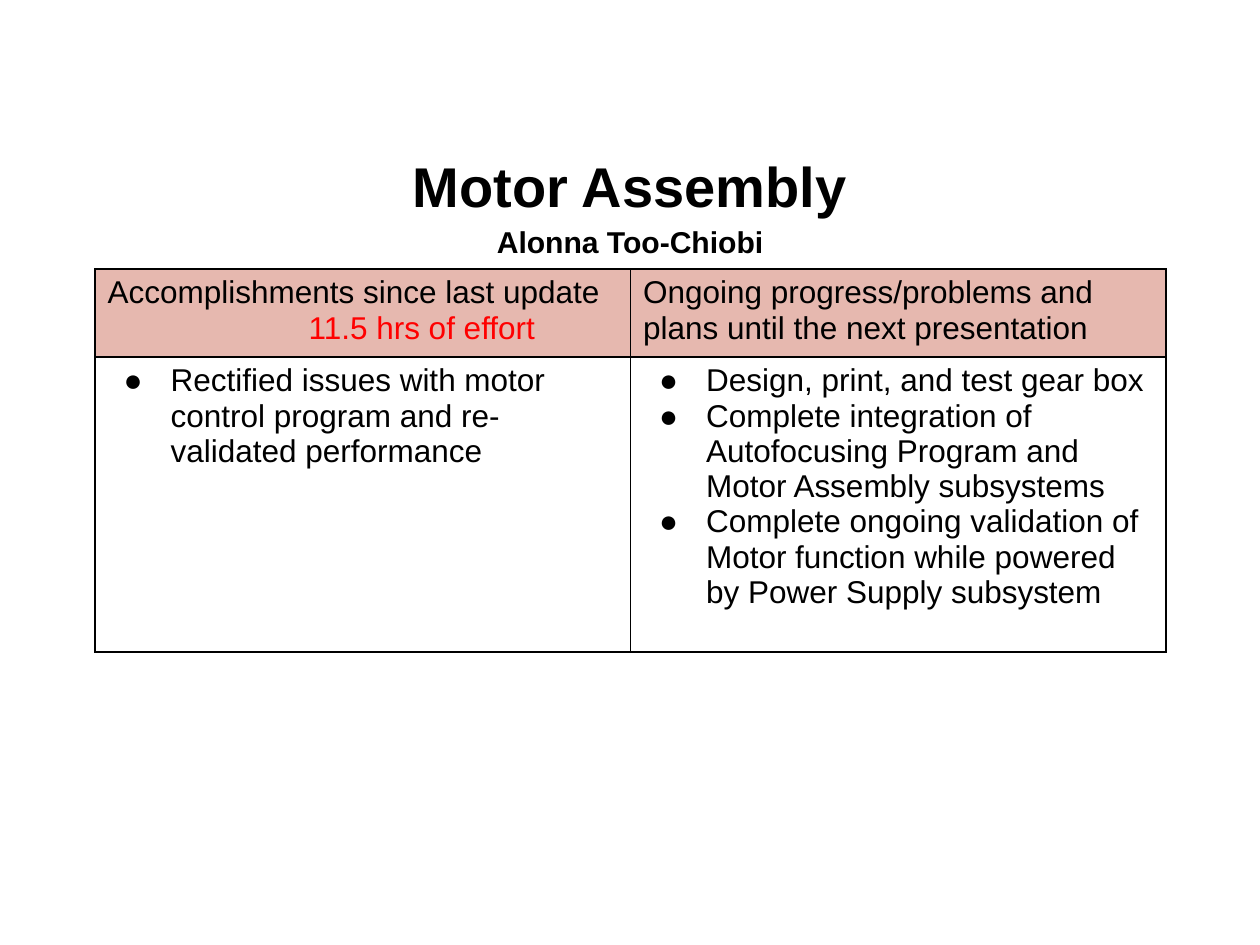
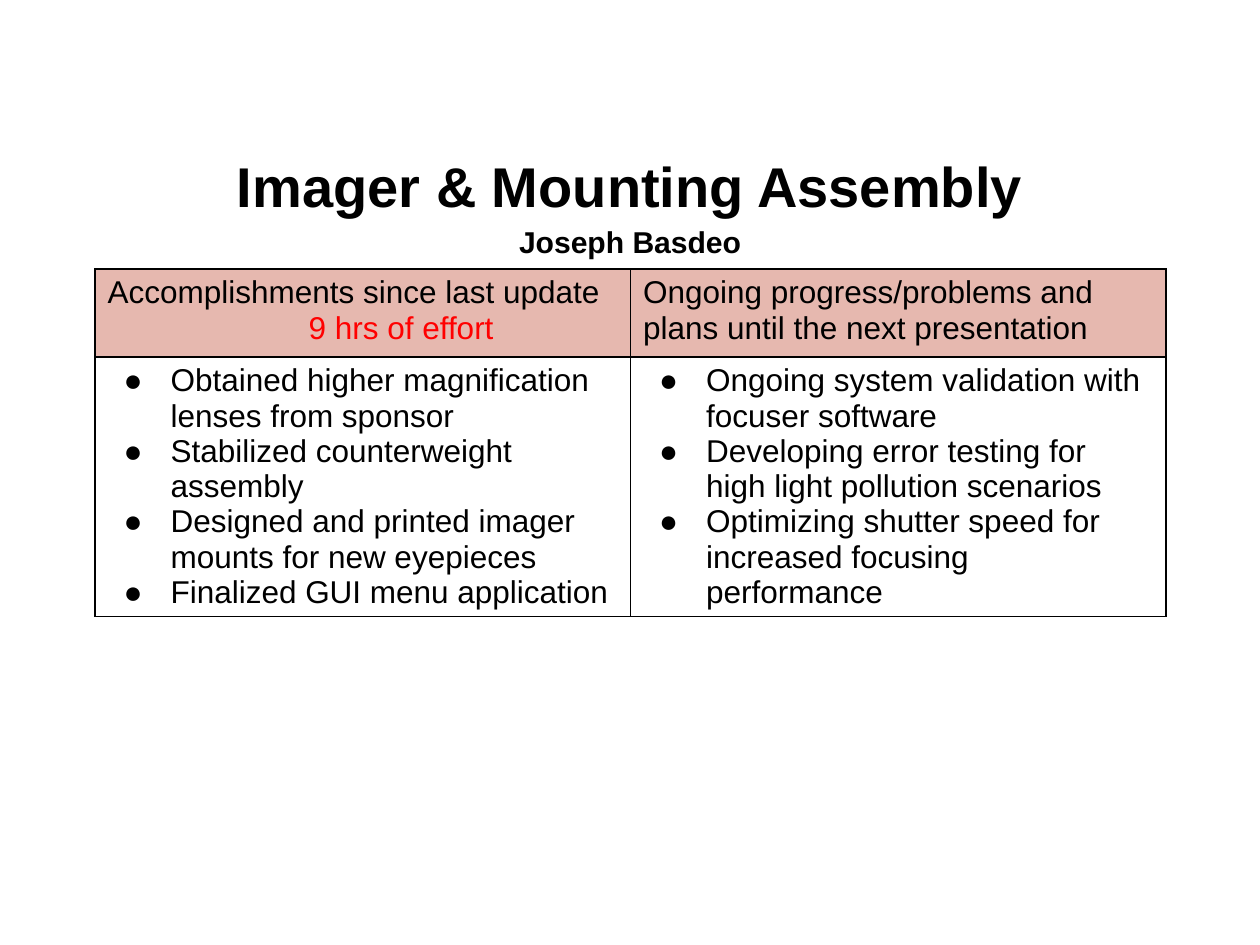
from lxml.etree import SubElement
from pptx import Presentation
from pptx.dml.color import RGBColor
from pptx.enum.text import MSO_ANCHOR, MSO_AUTO_SIZE, PP_ALIGN
from pptx.oxml.ns import qn
from pptx.util import Emu, Pt

BLACK = RGBColor(0x00, 0x00, 0x00)
RED = RGBColor(0xFF, 0x00, 0x00)
ROSE = RGBColor(0xE6, 0xB8, 0xAF)
FONT = "Arial"
TITLE_SIZE, NAME_SIZE, TABLE_SIZE = 32, 17.2, 18
BULLET = "●"
BULLET_MARGIN, BULLET_HANG, EFFORT_MARGIN = 63, -47, 201
HEADER_HEIGHT = 88
TITLE_BOX = (63, 145, 1134, 111)
TABLE_BOX = (95, 269, 1071)
DONE_HEADING = "Accomplishments since last update"
PLANS_HEADING = "Ongoing progress/problems and plans until the next presentation"

UPDATES = [
    {
        "title": "Motor Assembly",
        "name": "Alonna Too-Chiobi",
        "effort": "11.5 hrs of effort",
        "body_height": 295,
        "done": ["Rectified issues with motor control program and re-validated performance"],
        "plans": [
            "Design, print, and test gear box",
            "Complete integration of Autofocusing Program and Motor Assembly subsystems",
            "Complete ongoing validation of Motor function while powered by Power Supply subsystem",
        ],
    },
    {
        "title": "Imager & Mounting Assembly",
        "name": "Joseph Basdeo",
        "effort": "9 hrs of effort",
        "body_height": 259,
        "done": [
            "Obtained higher magnification lenses from sponsor",
            "Stabilized counterweight assembly",
            "Designed and printed imager mounts for new eyepieces",
            "Finalized GUI menu application",
        ],
        "plans": [
            "Ongoing system validation with focuser software",
            "Developing error testing for high light pollution scenarios",
            "Optimizing shutter speed for increased focusing performance",
        ],
    },
]


def px(length):
    return Emu(round(length * 914400 / 126))


def style_runs(paragraph, size, color=BLACK, bold=False):
    for span in paragraph.runs:
        span.font.name = FONT
        span.font.size = Pt(size)
        span.font.bold = bold
        span.font.color.rgb = color


def indent(paragraph, margin, hang=0):
    properties = paragraph._p.get_or_add_pPr()
    properties.set("marL", str(px(margin)))
    properties.set("indent", str(px(hang)))
    return properties


def add_bullet(paragraph):
    properties = indent(paragraph, BULLET_MARGIN, BULLET_HANG)
    color = SubElement(properties, qn("a:buClr"))
    SubElement(color, qn("a:srgbClr"), val=str(BLACK))
    SubElement(properties, qn("a:buFont"), typeface=FONT)
    SubElement(properties, qn("a:buChar"), char=BULLET)


def add_borders(cell):
    properties = cell._tc.get_or_add_tcPr()
    for side in ("a:lnL", "a:lnR", "a:lnT", "a:lnB"):
        line = SubElement(properties, qn(side), w=str(Pt(1)))
        fill = SubElement(line, qn("a:solidFill"))
        SubElement(fill, qn("a:srgbClr"), val=str(BLACK))


def fill_cell(cell, lines, bulleted=False):
    cell.text_frame.text = "\n".join(lines)
    for paragraph in cell.text_frame.paragraphs:
        if bulleted:
            add_bullet(paragraph)
        style_runs(paragraph, TABLE_SIZE)


def place_title(page, box, title, name):
    shape = page.shapes.title
    shape.left, shape.top, shape.width, shape.height = map(px, box)
    frame = shape.text_frame
    frame.text = f"{title}\n{name}"
    frame.auto_size = MSO_AUTO_SIZE.NONE
    frame.vertical_anchor = MSO_ANCHOR.MIDDLE
    for paragraph, size in zip(frame.paragraphs, (TITLE_SIZE, NAME_SIZE)):
        paragraph.alignment = PP_ALIGN.CENTER
        paragraph.line_spacing = 1.15
        paragraph.space_before = Pt(0)
        style_runs(paragraph, size, bold=True)


def place_table(page, box, update):
    left, top, width = box
    heights = (HEADER_HEIGHT, update["body_height"])
    table = page.shapes.add_table(2, 2, px(left), px(top), px(width), px(sum(heights))).table
    table.first_row = False
    table.horz_banding = False
    for column in table.columns:
        column.width = px(width / 2)
    for row, height in zip(table.rows, heights):
        row.height = px(height)
    for cell in table.iter_cells():
        add_borders(cell)
        cell.fill.background()

    done_header, plans_header = table.rows[0].cells
    for header in (done_header, plans_header):
        header.fill.solid()
        header.fill.fore_color.rgb = ROSE
    fill_cell(done_header, [DONE_HEADING, update["effort"]])
    effort = done_header.text_frame.paragraphs[1]
    indent(effort, EFFORT_MARGIN)
    style_runs(effort, TABLE_SIZE, RED)
    fill_cell(plans_header, [PLANS_HEADING])
    for cell, key in zip(table.rows[1].cells, ("done", "plans")):
        fill_cell(cell, update[key], bulleted=True)


def add_update(deck, update):
    page = deck.slides.add_slide(deck.slide_layouts[5])
    place_title(page, TITLE_BOX, update["title"], update["name"])
    place_table(page, TABLE_BOX, update)


def main():
    deck = Presentation()
    deck.slide_width, deck.slide_height = px(1260), px(945)
    for update in UPDATES:
        add_update(deck, update)
    deck.save("out.pptx")


if __name__ == "__main__":
    main()
